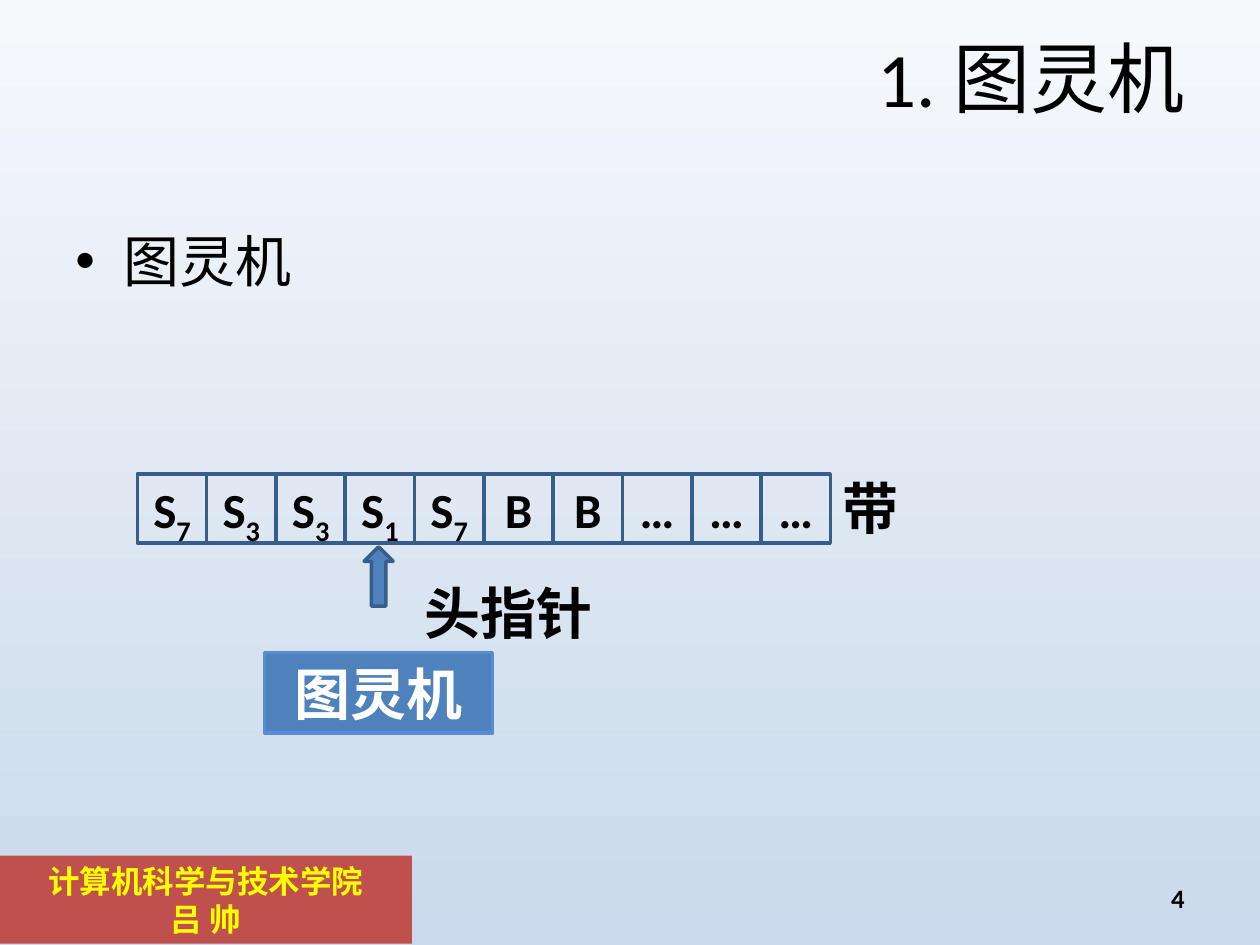
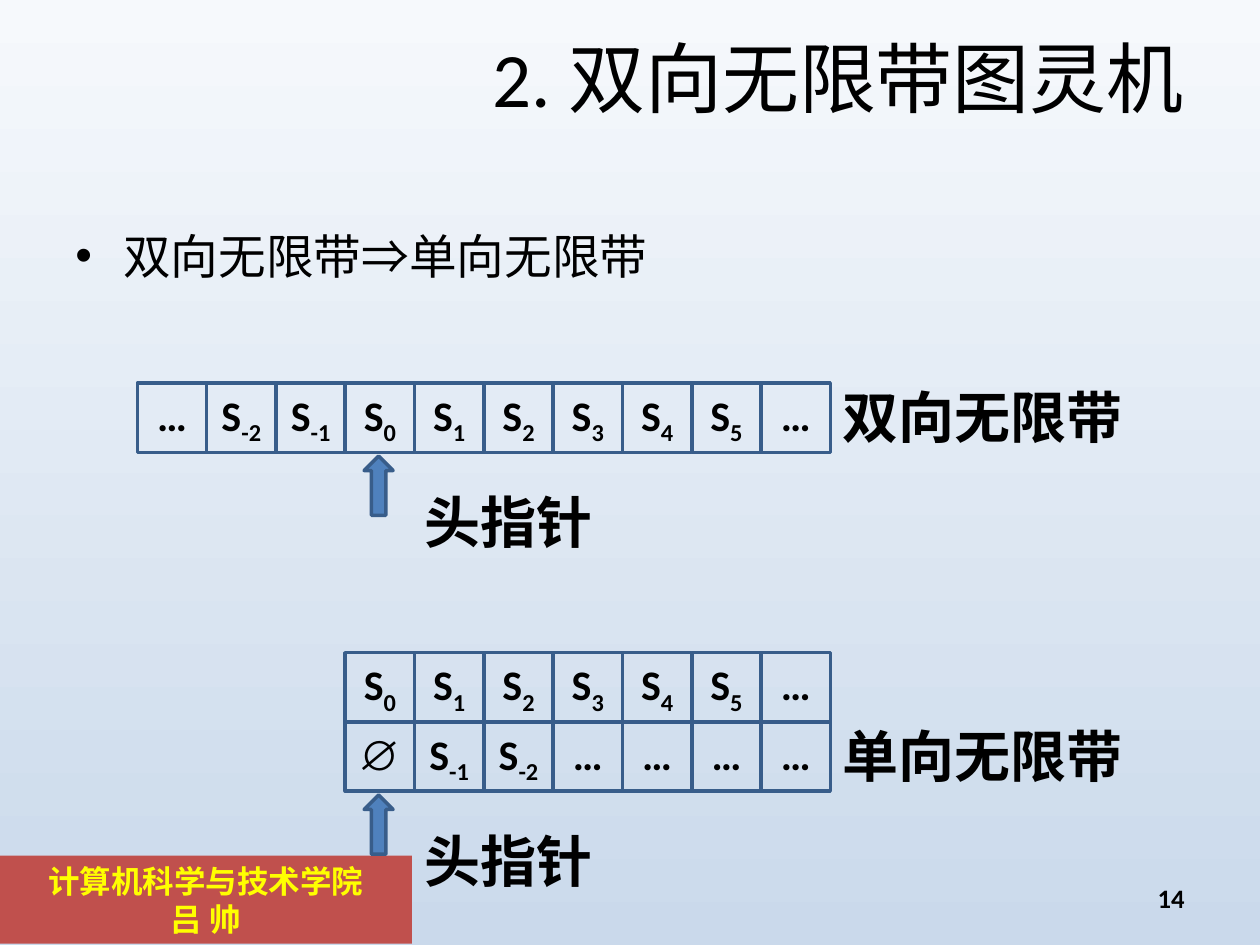
"""Build two slides on Turing machines and their one-way and two-way infinite tapes."""
import pptx
import pptx.dml.color
import pptx.enum.shapes
import pptx.enum.text
import pptx.oxml
import pptx.oxml.ns
import pptx.util

Inches = pptx.util.Inches
ALIGN = pptx.enum.text.PP_ALIGN
ANCHOR = pptx.enum.text.MSO_ANCHOR
SHAPES = pptx.enum.shapes.MSO_SHAPE

BLACK, WHITE, YELLOW = "000000", "FFFFFF", "FFFF00"
BLUE, DARK_BLUE, LIGHT_BLUE, RED = "4F81BD", "385D8A", "558ED5", "C0504D"
CELL, TAPE_LEFT, TAPE_RIGHT = 0.55, 1.09, 6.59


def color(hex_string):
    return pptx.dml.color.RGBColor.from_string(hex_string)


def add_text(slide, text, left, top, width, height, size=32, font="Calibri", ink=BLACK,
             bold=True, align=ALIGN.LEFT, anchor=ANCHOR.TOP, fill=None, line=None,
             bullet=False, line_spacing=None):
    """Add a box; "|" separates runs and a run that starts with "_" is a subscript."""
    box = [Inches(length) for length in (left, top, width, height)]
    if fill or line:
        shape = slide.shapes.add_shape(SHAPES.RECTANGLE, *box)
        shape.shadow.inherit = False
    else:
        shape = slide.shapes.add_textbox(*box)
    if fill:
        shape.fill.solid()
        shape.fill.fore_color.rgb = color(fill)
    else:
        shape.fill.background()
    if line:
        shape.line.color.rgb = color(line)
        shape.line.width = pptx.util.Pt(2)
    else:
        shape.line.fill.background()
    frame = shape.text_frame
    frame.word_wrap = True
    frame.vertical_anchor = anchor
    for index, line_text in enumerate(text.split("\n")):
        paragraph = frame.add_paragraph() if index else frame.paragraphs[0]
        paragraph.alignment = align
        paragraph.line_spacing = line_spacing
        if bullet:
            properties = paragraph._p.get_or_add_pPr()
            properties.set("marL", str(Inches(0.38)))
            properties.set("indent", str(-Inches(0.38)))
            namespace = pptx.oxml.ns.nsdecls("a")
            properties.append(pptx.oxml.parse_xml(f'<a:buFont {namespace} typeface="Arial"/>'))
            properties.append(pptx.oxml.parse_xml(f'<a:buChar {namespace} char="•"/>'))
        for piece in line_text.split("|"):
            run = paragraph.add_run()
            run.text = piece.lstrip("_")
            run.font.name = "Arial" if piece in ("⇒", "∅") else font
            run.font.size = pptx.util.Pt(size)
            run.font.bold = bold
            run.font.color.rgb = color(ink)
            if piece.startswith("_"):
                run._r.get_or_add_rPr().set("baseline", "-25000")


presentation = pptx.Presentation()
presentation.slide_width = Inches(10)
presentation.slide_height = Inches(7.5)
background = presentation.slide_master.background.fill
background.gradient()
background.gradient_angle = 270
for stop, stop_color in zip(background.gradient_stops, ("F6F9FC", "CAD9EB")):
    stop.color.rgb = color(stop_color)

lectures = [
    {"title": "1. 图灵机", "number": "4", "point": "图灵机", "point_size": 32, "cell_size": 28,
     "machine": "图灵机",
     "tapes": [("带", 3.76, 0, ["S|_7 S|_3 S|_3 S|_1 S|_7 B B … … …"])]},
    {"title": "2. 双向无限带图灵机", "number": "14", "point": "双向无限带|⇒|单向无限带",
     "point_size": 27.2, "cell_size": 24, "machine": None,
     "tapes": [("双向无限带", 3.04, 0, ["… S|_-2 S|_-1 S|_0 S|_1 S|_2 S|_3 S|_4 S|_5 …"]),
               ("单向无限带", 5.18, 3, ["S|_0 S|_1 S|_2 S|_3 S|_4 S|_5 …",
                                   "∅ S|_-1 S|_-2 … … … …"])]},
]

for lecture in lectures:
    slide = presentation.slides.add_slide(presentation.slide_layouts[6])
    add_text(slide, "计算机科学与技术学院\n吕 帅", 0, 6.79, 3.27, 0.7, size=18, font="Arial",
             ink=YELLOW, align=ALIGN.CENTER, fill=RED)
    add_text(slide, lecture["title"], 0.5, 0.3, 9, 0.61, size=44, bold=False,
             align=ALIGN.RIGHT, anchor=ANCHOR.MIDDLE)
    add_text(slide, lecture["point"], 0.5, 1.75, 9, 0.58, size=lecture["point_size"],
             bold=False, bullet=True)
    add_text(slide, lecture["number"], 7.17, 6.95, 2.33, 0.4, size=15.2,
             align=ALIGN.RIGHT, anchor=ANCHOR.MIDDLE, line_spacing=0.8)

    for label, tape_top, first_column, rows in lecture["tapes"]:
        for row, symbols in enumerate(rows):
            for column, symbol in enumerate(symbols.split(), first_column):
                add_text(slide, symbol, TAPE_LEFT + column * CELL, tape_top + row * CELL,
                         CELL, CELL, size=lecture["cell_size"], align=ALIGN.CENTER,
                         line=DARK_BLUE)
        tape_bottom = tape_top + len(rows) * CELL
        add_text(slide, label, TAPE_RIGHT, tape_bottom - 0.6, 2.74, 0.64, font="Arial")
        add_text(slide, "头指针", 3.27, tape_bottom + 0.23, 1.88, 0.64, font="Arial")
        head = slide.shapes.add_shape(SHAPES.UP_ARROW, Inches(2.89), Inches(tape_bottom + 0.03),
                                      Inches(0.23), Inches(0.47))
        head.shadow.inherit = False
        head.fill.solid()
        head.fill.fore_color.rgb = color(BLUE)
        head.line.color.rgb = color(DARK_BLUE)
        head.line.width = pptx.util.Pt(2)

    if lecture["machine"]:
        add_text(slide, lecture["machine"], 2.1, 5.18, 1.81, 0.64, ink=WHITE,
                 align=ALIGN.CENTER, anchor=ANCHOR.MIDDLE, fill=BLUE, line=LIGHT_BLUE)

presentation.save("out.pptx")
